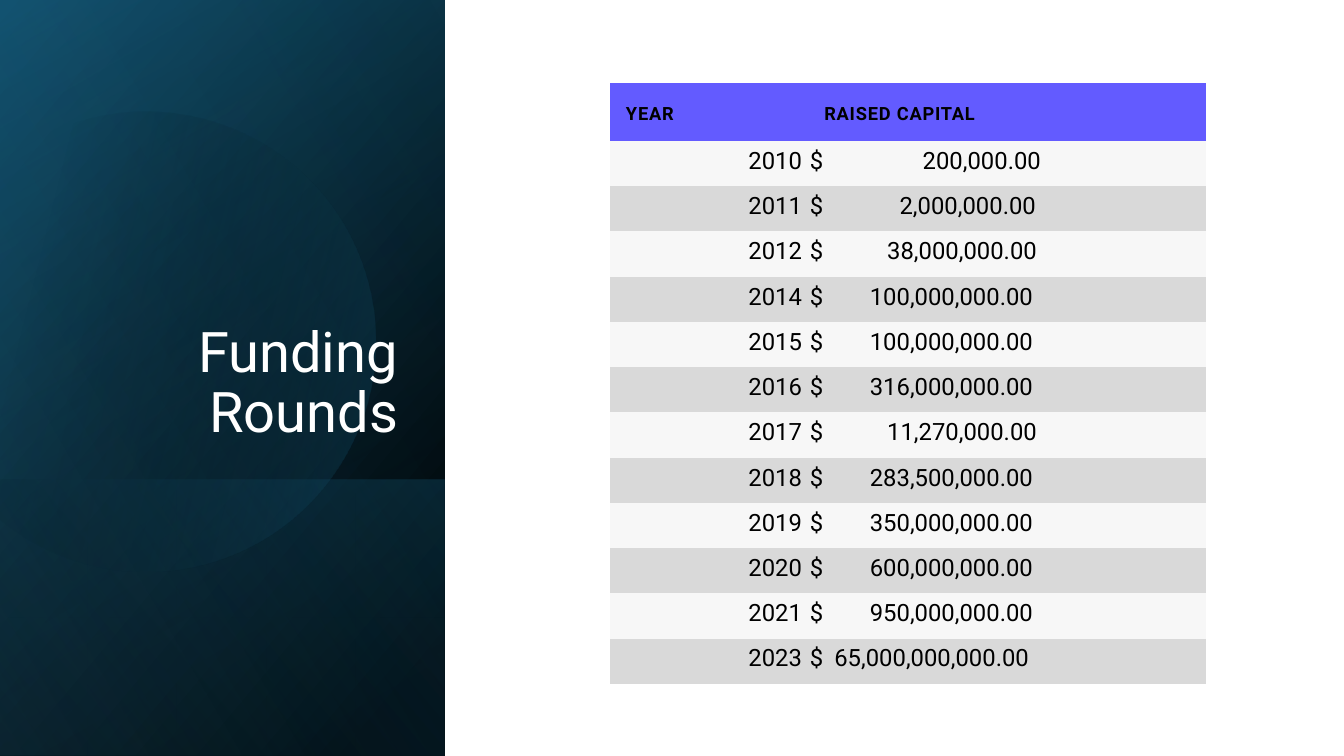
from math import cos, radians, sin, tan
from lxml import etree
from pptx import Presentation
from pptx.dml.color import RGBColor
from pptx.enum.shapes import MSO_SHAPE
from pptx.enum.text import MSO_ANCHOR, MSO_AUTO_SIZE, PP_ALIGN
from pptx.oxml.ns import qn
from pptx.util import Pt

RECT = MSO_SHAPE.RECTANGLE
LOW = MSO_ANCHOR.BOTTOM
FIXED = MSO_AUTO_SIZE.NONE
LEFT, RIGHT = PP_ALIGN.LEFT, PP_ALIGN.RIGHT
PX = 914400 / 100.8
FONT = "Roboto"
WHITE = RGBColor(0xFF, 0xFF, 0xFF)
BLACK = RGBColor(0x00, 0x00, 0x00)
PURPLE = RGBColor(0x63, 0x5B, 0xFF)
PALE = RGBColor(0xF7, 0xF7, 0xF7)
GREY = RGBColor(0xD9, 0xD9, 0xD9)
NAVY = RGBColor(0x10, 0x48, 0x62)
TEAL = RGBColor(0x15, 0x60, 0x82)
SKY = RGBColor(0x46, 0xB1, 0xE1)
PLAIN = "{2D5ABB26-0587-4C30-8999-92F81FD0307C}"


def px(n):
    return round(n * PX)


def shade(shape, stops, angle):
    shape.shadow.inherit = False
    shape.line.fill.background()
    shape.fill.gradient()
    grad = shape._element.spPr.find(qn("a:gradFill"))
    grad.set("rotWithShape", "1")
    for child in list(grad):
        grad.remove(child)
    band = etree.SubElement(grad, qn("a:gsLst"))
    for place, color, alpha in stops:
        stop = etree.SubElement(band, qn("a:gs"), pos=str(place * 1000))
        tone = etree.SubElement(stop, qn("a:srgbClr"), val=str(color))
        if alpha < 100:
            etree.SubElement(tone, qn("a:alpha"), val=str(alpha * 1000))
    etree.SubElement(grad, qn("a:lin"), ang=str(angle * 60000), scaled="0")


deck = Presentation()
deck.slide_width, deck.slide_height = px(1344), px(756)
slide = deck.slides.add_slide(deck.slide_layouts[5])
shapes = slide.shapes

FULL = (-156, 155, 756, 446)
BASE = (84, 395, 276, 446)
panels = [
    (FULL, [(8, BLACK, 100), (100, NAVY, 100)], 50),
    (FULL, [(0, BLACK, 0), (99, TEAL, 46)], 30),
    (BASE, [(2, TEAL, 29), (100, BLACK, 30)], 130),
    ("disc", [(29, BLACK, 0), (100, TEAL, 43)], 30),
    (FULL, [(0, BLACK, 0), (99, SKY, 11)], 120),
]
for box, stops, angle in panels:
    if box == "disc":
        knots = [radians(a) for a in (-118, -90, 0, 90, 150)]
        dots = [(cos(knots[0]), sin(knots[0]))]
        for a, b in zip(knots, knots[1:]):
            k = 4 / 3 * tan((b - a) / 4)
            dots += [(cos(a) - k * sin(a), sin(a) + k * cos(a)),
                     (cos(b) + k * sin(b), sin(b) - k * cos(b)),
                     (cos(b), sin(b))]
        dots = [(145 + 230 * x, 337 + 230 * y) for x, y in dots]
        pen = shapes.build_freeform(*dots[0], scale=PX)
        pen.add_line_segments(dots[1:], close=True)
        panel = pen.convert_to_shape()
        panel.rotation = 343.9
        lines = list(panel._element.iter(qn("a:lnTo")))
        for n in range(0, 12, 3):
            curve = etree.Element(qn("a:cubicBezTo"))
            lines[n].addprevious(curve)
            for line in lines[n:n + 3]:
                curve.append(line[0])
                line.getparent().remove(line)
    else:
        panel = shapes.add_shape(RECT, *map(px, box))
        panel.rotation = 90
        panel._element.spPr.find(qn("a:xfrm")).set("flipH", "1")
    shade(panel, stops, angle)

title = shapes.title
shapes._spTree.append(title._element)
title.left, title.top, title.width, title.height = map(px, (64, 186, 344, 264))
frame = title.text_frame
frame.word_wrap = True
frame.auto_size = FIXED
frame.vertical_anchor = LOW
para = frame.paragraphs[0]
para.alignment = RIGHT
para.line_spacing = 0.9
run = para.add_run()
run.text = "Funding Rounds"
run.font.name, run.font.size = FONT, Pt(40)
run.font.color.rgb = WHITE

rounds = [
    ("2010", "200,000.00", 1041),
    ("2011", "2,000,000.00", 1036),
    ("2012", "38,000,000.00", 1037),
    ("2014", "100,000,000.00", 1033),
    ("2015", "100,000,000.00", 1033),
    ("2016", "316,000,000.00", 1033),
    ("2017", "11,270,000.00", 1037),
    ("2018", "283,500,000.00", 1033),
    ("2019", "350,000,000.00", 1033),
    ("2020", "600,000,000.00", 1033),
    ("2021", "950,000,000.00", 1033),
    ("2023", "65,000,000,000.00", 1029),
]
rows = [("YEAR", " RAISED CAPITAL", 0)]
rows += [(year, " $\t" + sum_, edge) for year, sum_, edge in rounds]
holder = shapes.add_table(len(rows), 2, px(610), px(83), px(596), px(601))
table = holder.table
table.first_row = table.horz_banding = False
table._tbl.tblPr.find(qn("a:tableStyleId")).text = PLAIN
table.columns[0].width, table.columns[1].width = px(193), px(403)
for i, (year, money, edge) in enumerate(rows):
    head = i == 0
    table.rows[i].height = px(58) if head else px(543 / 12)
    for j, text in enumerate((year, money)):
        cell = table.cell(i, j)
        cell.fill.solid()
        cell.fill.fore_color.rgb = PURPLE if head else PALE if i % 2 else GREY
        cell.vertical_anchor = LOW
        side = px(16) if head else px(1)
        cell.margin_left = cell.margin_right = cell.margin_top = side
        cell.margin_bottom = px(16) if head else px(11)
        para = cell.text_frame.paragraphs[0]
        para.alignment = LEFT if head or j else RIGHT
        if "\t" in text:
            tabs = etree.SubElement(para._p.get_or_add_pPr(), qn("a:tabLst"))
            etree.SubElement(tabs, qn("a:tab"), pos=str(px(edge - 804)), algn="r")
        run = para.add_run()
        run.text = text
        run.font.name, run.font.size = FONT, Pt(13 if head else 17)
        run.font.bold = head
        run.font.color.rgb = BLACK
        if head:
            run.font._element.set("spc", "60")

deck.save("out.pptx")
